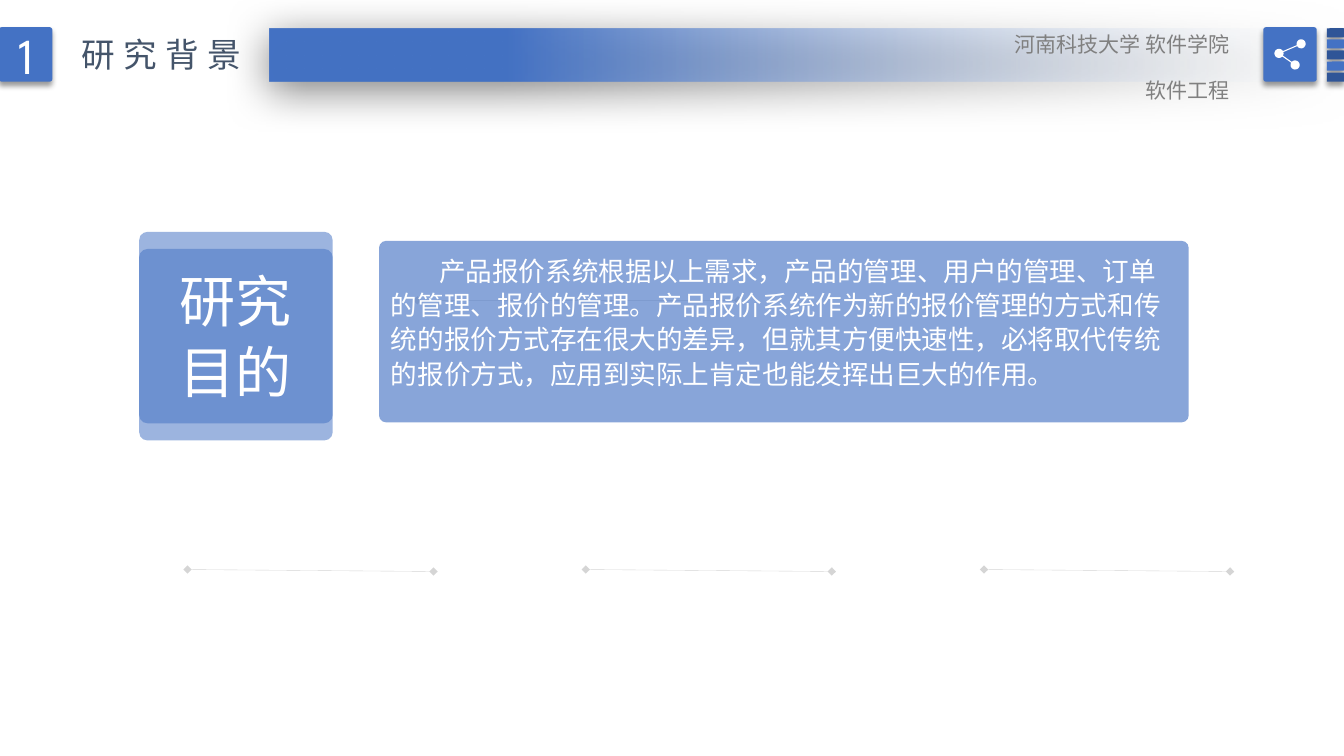
"""Build the research purpose slide with its header band."""
from math import cos, radians, sin

from pptx import Presentation
from pptx.dml.color import RGBColor
from pptx.enum.shapes import MSO_CONNECTOR, MSO_SHAPE
from pptx.enum.text import MSO_ANCHOR as ANCHOR, PP_ALIGN as ALIGN
from pptx.oxml import parse_xml
from pptx.oxml.ns import nsdecls, qn
from pptx.util import Pt

PX = 9144
THEME = {
    "blue": "4472C4", "navy": "2F5597", "white": "FFFFFF", "slate": "44546A",
    "gray": "808080", "pale": "F7FAFD", "black": "000000",
    "cjk": "Noto Sans CJK SC", "number": "League Spartan", "latin": "Cabin",
    "badge": 40, "digit": 36, "title": 24, "body": 19, "small": 15,
}
ROUND = MSO_SHAPE.ROUNDED_RECTANGLE
MIDDLE = {"vertical_anchor": ANCHOR.MIDDLE}
TILE_SHADOW = (40, 4, 3, 90)
BAND_SHADOW = (50, 31, 6, 97)

presentation = Presentation()
presentation.slide_width = 1333 * PX
presentation.slide_height = 750 * PX
slide = presentation.slides.add_slide(presentation.slide_layouts[6])
shapes = slide.shapes


def add_box(preset, box, color, opacity=100, corner=None, shadow=None):
    """Add a borderless filled shape, with an optional outer shadow."""
    shape = shapes.add_shape(preset, *(length * PX for length in box))
    shape.shadow.inherit = False
    shape.line.fill.background()
    shape.fill.solid()
    shape.fill.fore_color.rgb = RGBColor.from_string(THEME[color])
    if corner is not None:
        shape.adjustments[0] = corner
    properties = shape.element.spPr
    if opacity < 100:
        properties.find(".//" + qn("a:srgbClr")).append(
            parse_xml(f'<a:alpha {nsdecls("a")} val="{opacity * 1000}"/>'))
    if shadow:
        alpha, blur, distance, angle = shadow
        properties.find(qn("a:effectLst")).append(parse_xml(
            f'<a:outerShdw {nsdecls("a")} blurRad="{Pt(blur)}" dist="{Pt(distance)}" '
            f'dir="{angle * 60000}" algn="t" rotWithShape="0">'
            f'<a:srgbClr val="{THEME["black"]}"><a:alpha val="{alpha * 1000}"/></a:srgbClr>'
            '</a:outerShdw>'))
    return shape


def write(shape, lines, size, color, insets=(10, 5, 10, 5), frame=None, paragraph_format=None):
    """Fill a shape with (text, font) paragraphs sharing one format."""
    text_frame = shape.text_frame
    sides = ("margin_left", "margin_top", "margin_right", "margin_bottom")
    margins = {side: inset * PX for side, inset in zip(sides, insets)}
    for name, value in {"word_wrap": True, **margins, **(frame or {})}.items():
        setattr(text_frame, name, value)
    for index, (text, face) in enumerate(lines):
        paragraph = text_frame.add_paragraph() if index else text_frame.paragraphs[0]
        for name, value in {"alignment": ALIGN.LEFT, **(paragraph_format or {})}.items():
            setattr(paragraph, name, value)
        run = paragraph.add_run()
        run.text = text
        for name, value in {"name": THEME[face], "size": Pt(THEME[size])}.items():
            setattr(run.font, name, value)
        run.font.color.rgb = RGBColor.from_string(THEME[color])
        run.font._element.append(
            parse_xml(f'<a:ea {nsdecls("a")} typeface="{THEME[face]}"/>'))
    return text_frame


add_box(ROUND, (138, 247, 192, 190), "blue", 53, 0.044)
badge = add_box(ROUND, (138, 230, 192, 190), "blue", 53, 0.044)
write(badge, [("研究", "cjk"), ("目的", "cjk")], "badge", "white", (0, 12, 0, 0),
      MIDDLE, {"alignment": ALIGN.CENTER, "line_spacing": 1.06})

rules = [(414, 298, 732, 298)]
rules += [(186 + 395 * column, 565, 430 + 395 * column, 567) for column in range(3)]
for ends in rules:
    rule = shapes.add_connector(MSO_CONNECTOR.STRAIGHT, *(end * PX for end in ends))
    rule.line.width = Pt(0.25)
    rule.line.color.rgb = RGBColor.from_string(THEME["gray"])
    outline = rule.line._get_or_add_ln()
    outline.find(".//" + qn("a:srgbClr")).append(
        parse_xml(f'<a:alpha {nsdecls("a")} val="33000"/>'))
    for tag in ("headEnd", "tailEnd"):
        outline.append(parse_xml(f'<a:{tag} {nsdecls("a")} type="diamond"/>'))
    rule.element.spPr.append(parse_xml(f'<a:effectLst {nsdecls("a")}/>'))

purpose = add_box(ROUND, (376, 239, 803, 180), "blue", 63, 0.038)
purpose_text = (
    "产品报价系统根据以上需求，产品的管理、用户的管理、订单的管理、报价的管理。"
    "产品报价系统作为新的报价管理的方式和传统的报价方式存在很大的差异，"
    "但就其方便快速性，必将取代传统的报价方式，应用到实际上肯定也能发挥出巨大的作用。")
purpose_frame = write(purpose, [(purpose_text, "cjk")], "body", "white", (10, 9, 10, 5),
                      {"vertical_anchor": ANCHOR.TOP}, {"line_spacing": 1.08})
purpose_frame.paragraphs[0]._p.get_or_add_pPr().set("indent", str(48 * PX))

band = add_box(MSO_SHAPE.RECTANGLE, (267, 28, 1067, 53), "blue", shadow=BAND_SHADOW)
band_properties = band.element.spPr
band_properties.replace(band_properties.find(qn("a:solidFill")), parse_xml(
    f'<a:gradFill {nsdecls("a")} rotWithShape="1"><a:gsLst>'
    f'<a:gs pos="0"><a:srgbClr val="{THEME["pale"]}"><a:alpha val="0"/></a:srgbClr></a:gs>'
    f'<a:gs pos="78000"><a:srgbClr val="{THEME["blue"]}"/></a:gs>'
    '</a:gsLst><a:lin ang="10800000" scaled="0"/></a:gradFill>'))

number = add_box(ROUND, (-1, 27, 53, 54), "blue", corner=0.05, shadow=TILE_SHADOW)
write(number, [("1", "number")], "digit", "white", frame=MIDDLE,
      paragraph_format={"alignment": ALIGN.CENTER})

title = shapes.add_textbox(71 * PX, 29 * PX, 188 * PX, 50 * PX)
title_frame = write(title, [("研究背景", "cjk")], "title", "slate", frame={"word_wrap": False})
title_frame.paragraphs[0].runs[0].font._element.set("spc", "600")

for row in range(5):
    stripe = add_box(ROUND, (1320, 24 + 11 * row, 9, 17), "blue" if row % 2 else "navy",
                     corner=0.05, shadow=TILE_SHADOW)
    stripe.rotation = 270

add_box(ROUND, (1253, 27, 53, 54), "blue", corner=0.05, shadow=TILE_SHADOW)
far_node, hub, near_node = (12905, 435), (12685, 530), (12845, 645)
node_radius = 45
arcs = [(far_node, 163, 509), (hub, -17, 29), (near_node, 223, 569), (hub, 43, 329)]
icon_points = []
for (center_x, center_y), start, stop in arcs:
    for step in range(25):
        angle = radians(start + (stop - start) * step / 24)
        icon_points.append((center_x + node_radius * cos(angle),
                            center_y + node_radius * sin(angle)))
builder = shapes.build_freeform(*icon_points[0], scale=PX / 10)
builder.add_line_segments(icon_points[1:], close=True)
share_icon = builder.convert_to_shape()
share_icon.shadow.inherit = False
share_icon.line.fill.background()
share_icon.fill.solid()
share_icon.fill.fore_color.rgb = RGBColor.from_string(THEME["white"])

school = shapes.add_textbox(992 * PX, 26 * PX, 237 * PX, 62 * PX)
write(school, [("河南科技大学 软件学院", "cjk"), ("软件工程", "latin")], "small", "gray",
      paragraph_format={"alignment": ALIGN.RIGHT, "space_after": Pt(15)})

presentation.save("out.pptx")
